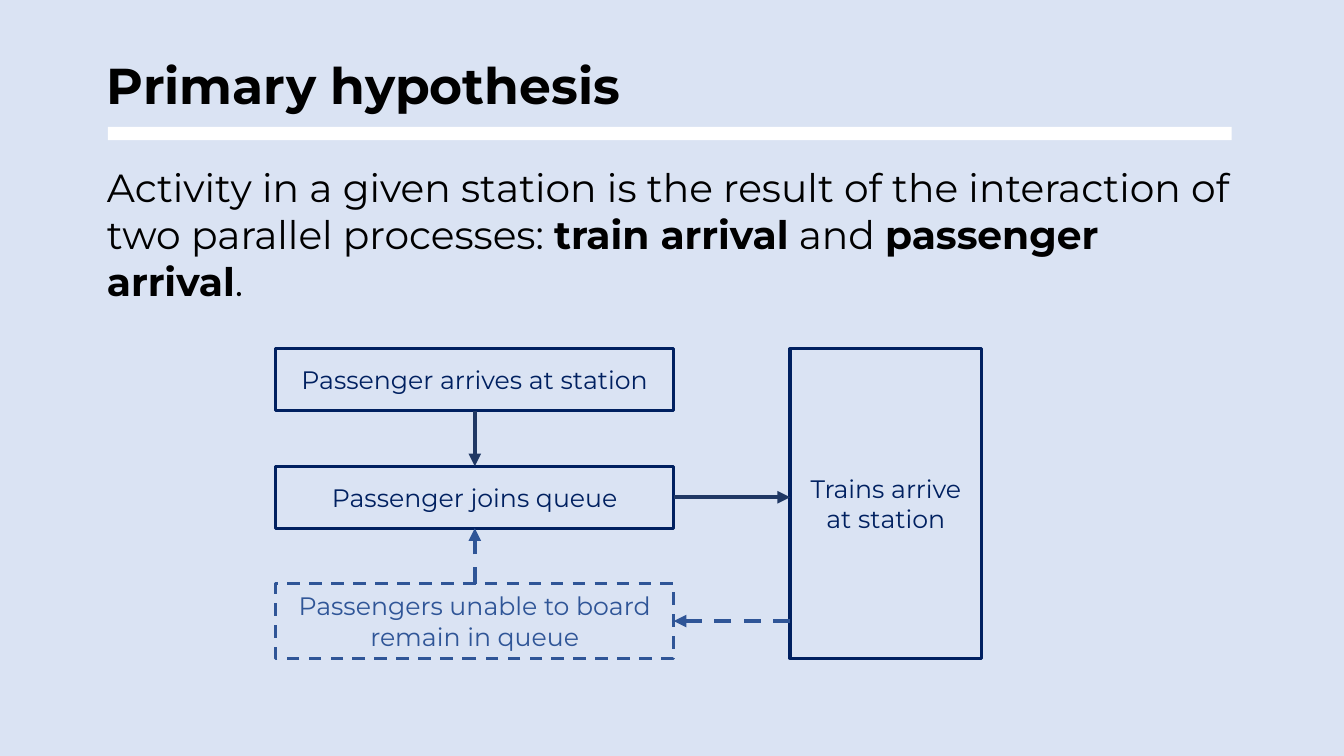
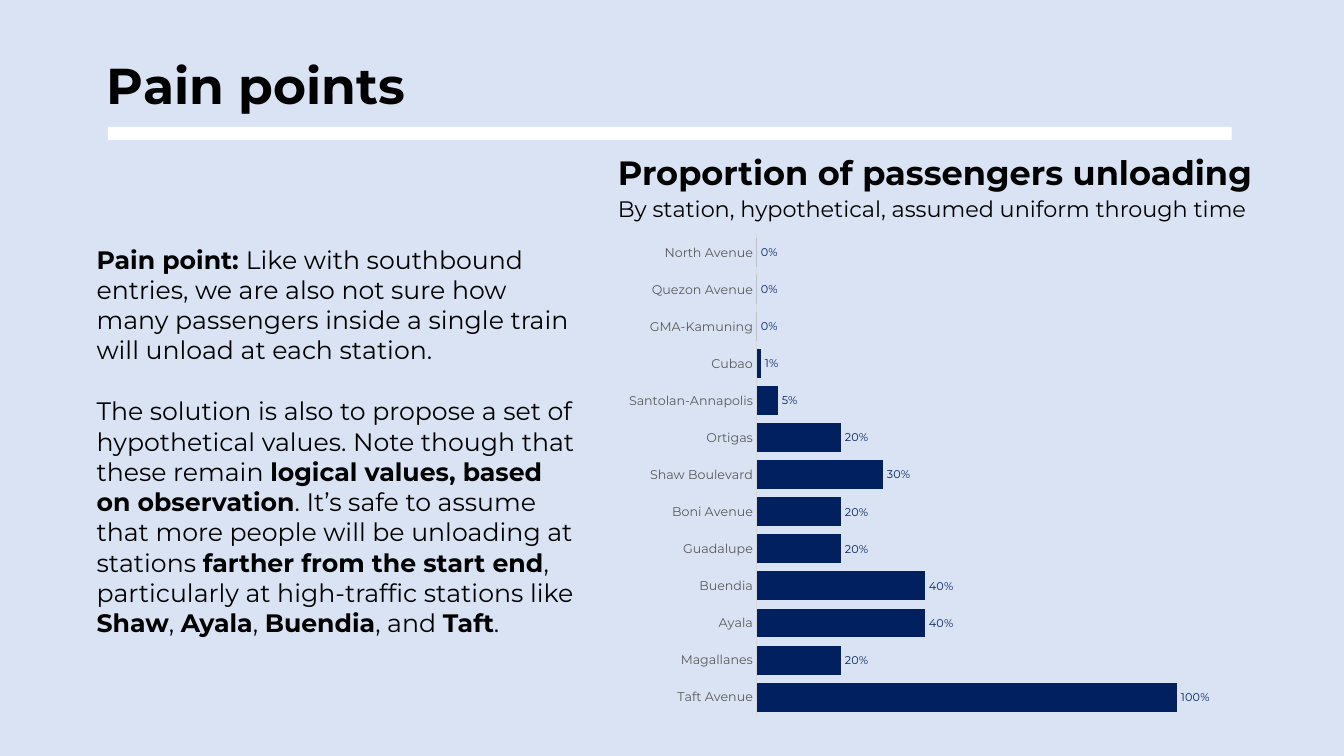
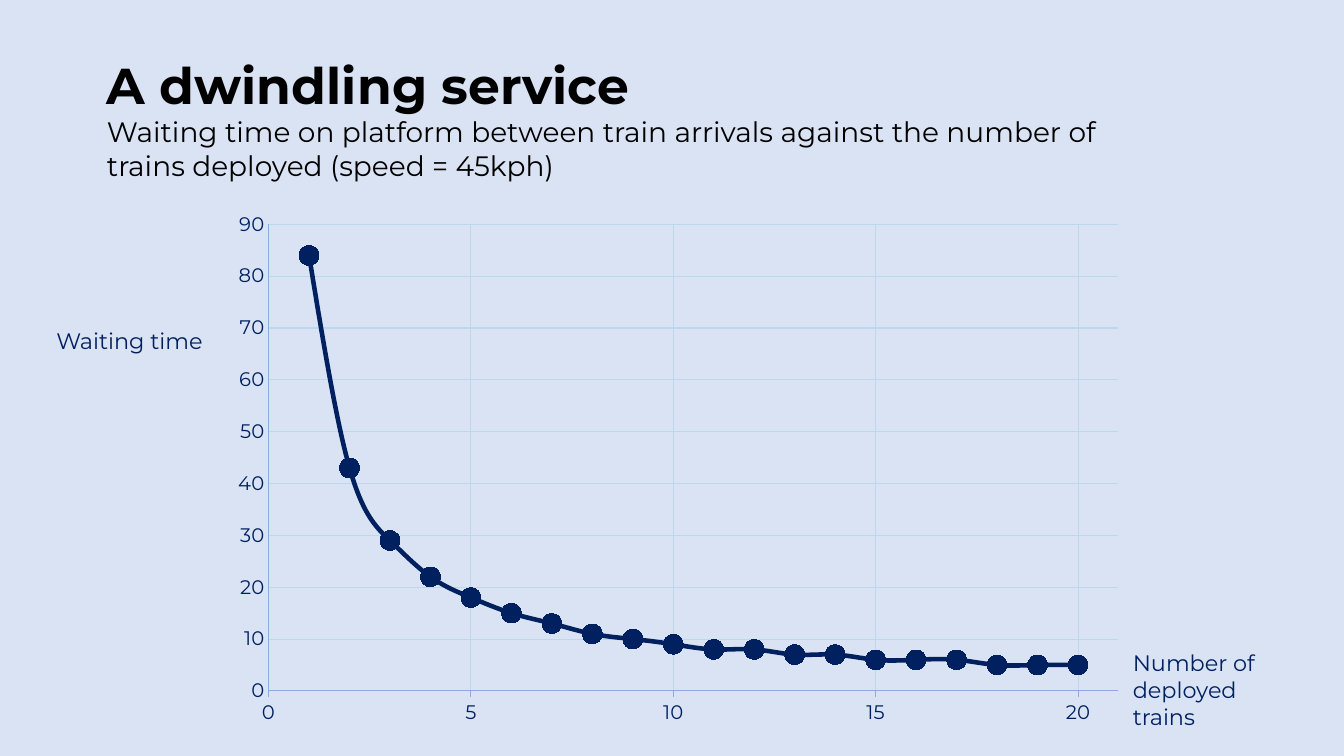
from dataclasses import dataclass

from lxml.etree import SubElement
from pptx import Presentation
from pptx.chart.data import CategoryChartData as CatData, XyChartData as XyData
from pptx.dml.color import RGBColor
from pptx.enum.chart import (
    XL_CHART_TYPE as Kind,
    XL_LABEL_POSITION as Spot,
    XL_MARKER_STYLE as Mark,
    XL_TICK_MARK as Tick,
)
from pptx.enum.dml import MSO_LINE as Dash
from pptx.enum.shapes import MSO_CONNECTOR as Conn, MSO_SHAPE as Form
from pptx.enum.text import MSO_ANCHOR as Anchor, MSO_AUTO_SIZE as Fit, PP_ALIGN as Align
from pptx.oxml.ns import qn
from pptx.util import Cm, Pt

# Shared look
FONT = "Montserrat"
BLACK, WHITE, PALE = "000000", "FFFFFF", "DAE3F3"
NAVY, DARK, MID = "002060", "203864", "2F5597"
GREY, RULE, AXIS, GRID = "595959", "D9D9D9", "8FAADC", "BDD7EE"
LEFT = 2.44


@dataclass
class Area:
    x: float
    y: float
    w: float
    h: float

    @property
    def right(self) -> float:
        return self.x + self.w

    @property
    def base(self) -> float:
        return self.y + self.h

    @property
    def mid(self) -> float:
        return self.x + self.w / 2

    @property
    def level(self) -> float:
        return self.y + self.h / 2

    def dims(self) -> tuple:
        return Cm(self.x), Cm(self.y), Cm(self.w), Cm(self.h)


@dataclass
class Box:
    area: Area
    text: str
    hue: str = NAVY
    dash: bool = False


@dataclass
class Arrow:
    x1: float
    y1: float
    x2: float
    y2: float
    hue: str = DARK
    dash: bool = False


# Helpers
def tint(code: str) -> RGBColor:
    return RGBColor.from_string(code)


def style(font, size: float, hue: str = BLACK, bold: bool = False) -> None:
    font.name, font.size, font.bold = FONT, Pt(size), bold
    font.color.rgb = tint(hue)


def pen(line, hue: str, width: float = 0.75, dash: bool = False) -> None:
    line.color.rgb = tint(hue)
    line.width = Pt(width)
    if dash:
        line.dash_style = Dash.DASH


def write(frame, text: str, *, size: float, hue: str = BLACK, bold: bool = False,
          align=Align.LEFT, anchor=Anchor.TOP, gap: float = 0) -> None:
    """Each line is a paragraph; parts between ** marks are bold."""
    frame.word_wrap, frame.auto_size = True, Fit.NONE
    frame.vertical_anchor = anchor
    for i, line in enumerate(text.split("\n")):
        para = frame.add_paragraph() if i else frame.paragraphs[0]
        para.alignment = align
        para.space_before = Pt(gap if i else 0)
        props = para._p.get_or_add_pPr()
        props.set("marL", "0")
        props.set("indent", "0")
        SubElement(props, qn("a:buNone"))
        for j, part in enumerate(line.split("**")):
            if part:
                run = para.add_run()
                run.text = part
                style(run.font, size, hue, bold or j % 2 == 1)


def place(shape, area: Area) -> None:
    shape.left, shape.top, shape.width, shape.height = area.dims()


def start(deck, title: str, body: str, area: Area, size: float,
          band: bool = True, gap: float = 0):
    slide = deck.slides.add_slide(deck.slide_layouts[1])
    head, main = slide.placeholders
    place(head, Area(LEFT, 1.24, 23.77, 1.8))
    write(head.text_frame, title, size=36, bold=True)
    place(main, area)
    write(main.text_frame, body, size=size, gap=gap)
    if band:
        bar = slide.shapes.add_shape(Form.RECTANGLE, *Area(2.72, 3.2, 28.32, 0.33).dims())
        bar.shadow.inherit = False
        bar.fill.solid()
        bar.fill.fore_color.rgb = tint(WHITE)
        bar.line.fill.background()
    return slide


def label(slide, area: Area, text: str, **form) -> None:
    write(slide.shapes.add_textbox(*area.dims()).text_frame, text, **form)


def draw(slide, box: Box) -> None:
    shape = slide.shapes.add_shape(Form.RECTANGLE, *box.area.dims())
    shape.shadow.inherit = False
    shape.fill.background()
    pen(shape.line, box.hue, 2.25, box.dash)
    write(shape.text_frame, box.text, size=18, hue=box.hue,
          align=Align.CENTER, anchor=Anchor.MIDDLE)


def link(slide, arrow: Arrow) -> None:
    ends = (arrow.x1, arrow.y1, arrow.x2, arrow.y2)
    line = slide.shapes.add_connector(Conn.STRAIGHT, *map(Cm, ends))
    pen(line.line, arrow.hue, 3, arrow.dash)
    SubElement(line.line._get_or_add_ln(), qn("a:tailEnd"), type="triangle")
    SubElement(line._element.spPr, qn("a:effectLst"))


def plot(slide, kind, area: Area, data, size: float):
    chart = slide.shapes.add_chart(kind, *area.dims(), data).chart
    chart.has_legend = chart.has_title = False
    style(chart.font, size)
    chart.plots[0].vary_by_categories = False
    return chart


def scale(axis, top: float, step: float, tick) -> None:
    axis.minimum_scale, axis.maximum_scale, axis.major_unit = 0, top, step
    axis.major_tick_mark, axis.minor_tick_mark = tick, Tick.NONE
    axis.has_major_gridlines = True
    pen(axis.major_gridlines.format.line, GRID)
    pen(axis.format.line, AXIS)
    style(axis.tick_labels.font, 14, NAVY)


deck = Presentation()
deck.slide_width, deck.slide_height = Cm(33.87), Cm(19.05)
back = deck.slide_master.background.fill
back.solid()
back.fore_color.rgb = tint(PALE)

# Slide 1: flow of passengers and trains
slide = start(
    deck, "Primary hypothesis",
    "Activity in a given station is the result of the interaction of two parallel "
    "processes: **train arrival** and **passenger arrival**.",
    Area(LEFT, 3.99, 28.9, 3.84), 28)
come, queue, stay = (
    Area(6.95, 8.79 + i * 2.96, 10.03, h) for i, h in enumerate((1.56, 1.56, 1.88)))
train = Area(19.91, come.y, 4.83, stay.base - come.y)
for box in (
    Box(come, "Passenger arrives at station"),
    Box(queue, "Passenger joins queue"),
    Box(train, "Trains arrive at station"),
    Box(stay, "Passengers unable to board remain in queue", MID, True),
):
    draw(slide, box)
for arrow in (
    Arrow(come.mid, come.base, queue.mid, queue.y),
    Arrow(queue.right, queue.level, train.x, queue.level),
    Arrow(train.x, stay.level, stay.right, stay.level, MID, True),
    Arrow(stay.mid, stay.y, queue.mid, queue.base, MID, True),
):
    link(slide, arrow)

# Slide 2: unloading by station
slide = start(
    deck, "Pain points",
    "**Pain point: **Like with southbound entries, we are also not sure how many "
    "passengers inside a single train will unload at each station.\n"
    "The solution is also to propose a set of hypothetical values. Note though that "
    "these remain **logical values, based on observation**. It’s safe to assume that "
    "more people will be unloading at stations **farther from the start end**, "
    "particularly at high-traffic stations like **Shaw**, **Ayala**, **Buendia**, "
    "and **Taft**.",
    Area(2.18, 6.02, 12.6, 10.26), 18, gap=22)
label(slide, Area(15.32, 3.71, 17.12, 1.27), "Proportion of passengers unloading",
      size=24, bold=True)
label(slide, Area(15.32, 4.8, 17.45, 0.94),
      "By station, hypothetical, assumed uniform through time", size=16)
rates = {
    "Taft Avenue": 1, "Magallanes": 0.2, "Ayala": 0.4, "Buendia": 0.4,
    "Guadalupe": 0.2, "Boni Avenue": 0.2, "Shaw Boulevard": 0.3, "Ortigas": 0.2,
    "Santolan-Annapolis": 0.05, "Cubao": 0.01, "GMA-Kamuning": 0,
    "Quezon Avenue": 0, "North Avenue": 0,
}
data = CatData()
data.categories = list(rates)
data.add_series("Series 1", list(rates.values()))
chart = plot(slide, Kind.BAR_CLUSTERED, Area(15.52, 5.64, 16.59, 12.65), data, 8)
bars = chart.plots[0]
bars.gap_width = 28
fill = bars.series[0].format.fill
fill.solid()
fill.fore_color.rgb = tint(NAVY)
tags = bars.series[0].data_labels
tags.show_value, tags.position = True, Spot.OUTSIDE_END
tags.number_format, tags.number_format_is_linked = "0%", False
style(tags.font, 8, NAVY)
names, sums = chart.category_axis, chart.value_axis
names.major_tick_mark = Tick.NONE
pen(names.format.line, RULE)
style(names.tick_labels.font, 9, GREY)
sums.minimum_scale, sums.maximum_scale = 0, 1.2
sums.has_major_gridlines = sums.visible = False

# Slide 3: waiting time curve
slide = start(
    deck, "A dwindling service",
    "Waiting time on platform between train arrivals against the number of trains "
    "deployed (speed = 45kph)",
    Area(LEFT, 2.77, 26.21, 1.96), 20, band=False)
waits = (84, 43, 29, 22, 18, 15, 13, 11, 10, 9, 8, 8, 7, 7, 6, 6, 6, 5, 5, 5)
data = XyData()
curve = data.add_series("Series 1")
for count, wait in enumerate(waits, 1):
    curve.add_data_point(count, wait)
chart = plot(slide, Kind.XY_SCATTER_SMOOTH, Area(5.54, 5.08, 23.11, 13.46), data, 10)
line = chart.plots[0].series[0]
line._element.find(qn("c:smooth")).set("val", "1")
pen(line.format.line, NAVY, 3.25)
dot = line.marker
dot.style, dot.size = Mark.CIRCLE, 14
dot.format.fill.solid()
dot.format.fill.fore_color.rgb = tint(NAVY)
pen(dot.format.line, NAVY)
scale(chart.category_axis, 21, 5, Tick.OUTSIDE)
scale(chart.value_axis, 90, 10, Tick.NONE)
label(slide, Area(1.17, 8.13, 4.72, 0.94), "Waiting time", size=16, hue=NAVY)
label(slide, Area(28.3, 16.23, 4.72, 2.31), "Number of deployed trains",
      size=16, hue=NAVY)

deck.save("out.pptx")
